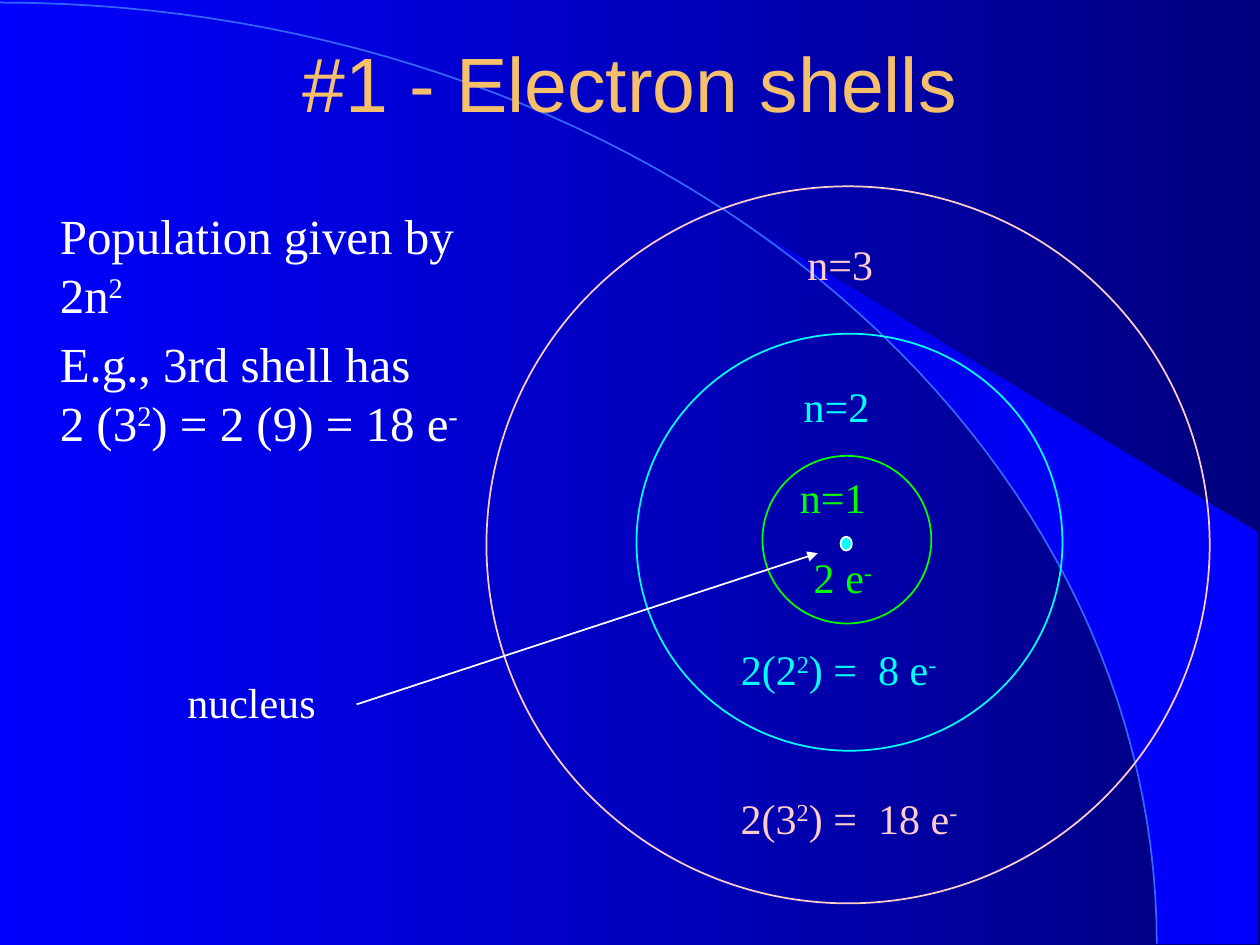
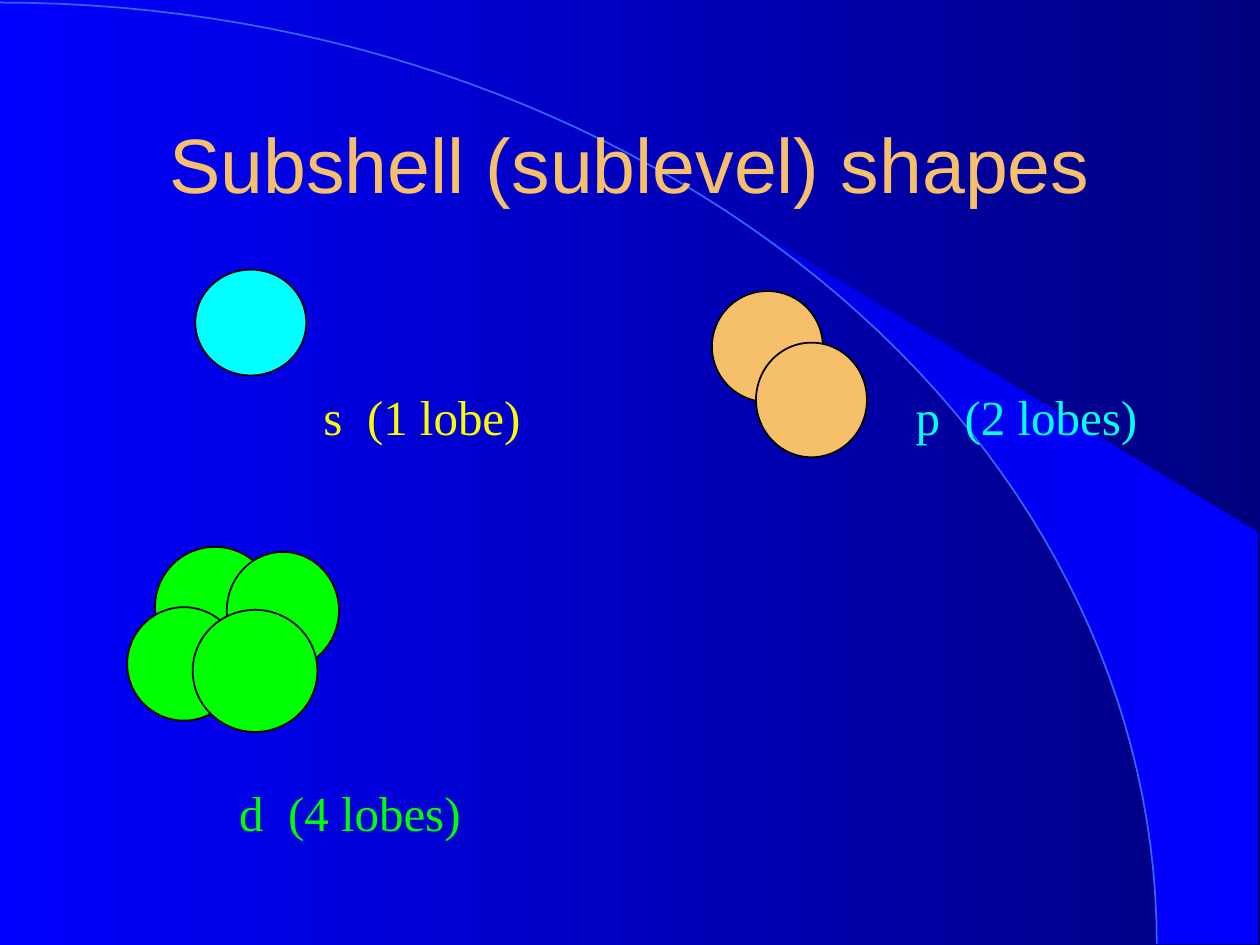
from math import cos, sin, radians
from lxml.etree import SubElement as Sub
from pptx import Presentation
from pptx.dml.color import RGBColor as RGB
from pptx.enum.shapes import MSO_CONNECTOR as LINE, MSO_SHAPE as SHAPE
from pptx.enum.text import MSO_ANCHOR as ANCHOR, PP_ALIGN as ALIGN
from pptx.oxml.ns import qn
from pptx.util import Pt

# Shared look
BLUE = RGB(0x00, 0x00, 0xFF)
NAVY = RGB(0x00, 0x00, 0x7F)
ROYAL = RGB(0x00, 0x00, 0xE5)
SKY = RGB(0x33, 0x65, 0xFB)
GOLD = RGB(0xF6, 0xBF, 0x69)
YELLOW = RGB(0xFA, 0xFD, 0x00)
PINK = RGB(0xFF, 0xCC, 0xCC)
CYAN = RGB(0x00, 0xFF, 0xFF)
GREEN = RGB(0x00, 0xFF, 0x00)
WHITE = RGB(0xFF, 0xFF, 0xFF)
BLACK = RGB(0x00, 0x00, 0x00)
SANS, SERIF = "Arial", "Times New Roman"
WIDE, HIGH = 720, 540


def blend(fill, left, right):
    """Fill from left to right with two colours."""
    fill.gradient()
    fill.gradient_angle = 0
    for stop, color in zip(fill.gradient_stops, (left, right)):
        stop.color.rgb = color


def paint(shape, fill=None, line=None):
    shape.shadow.inherit = False
    if fill is None:
        shape.fill.background()
    else:
        shape.fill.solid()
        shape.fill.fore_color.rgb = fill
    if line is None:
        shape.line.fill.background()
    else:
        shape.line.color.rgb = line
        shape.line.width = Pt(1)


def disc(slide, x, y, w, h, fill, line):
    oval = slide.shapes.add_shape(SHAPE.OVAL, Pt(x), Pt(y), Pt(w), Pt(h))
    paint(oval, fill, line)


def write(slide, box, paras, size, color, font=SERIF, gap=0):
    """Each paragraph is a list of runs; every second run is raised."""
    frame = slide.shapes.add_textbox(*map(Pt, box)).text_frame
    frame.word_wrap = True
    for i, runs in enumerate(paras):
        para = frame.paragraphs[0] if i == 0 else frame.add_paragraph()
        if i:
            para.space_before = Pt(gap)
        for j, words in enumerate(runs):
            for k, part in enumerate(words.split("\n")):
                if k:
                    para.add_line_break()
                run = para.add_run()
                run.text = part
                run.font.size = Pt(size)
                run.font.name = font
                run.font.color.rgb = color
                if j % 2:
                    run._r.get_or_add_rPr().set("baseline", "30000")
    return frame


# Backdrop: gradient, bright wedge and long arc
def arc(start, end, steps=60):
    """Points on the quarter ellipse, by angle in degrees."""
    turns = [radians(start + (end - start) * i / steps) for i in range(steps + 1)]
    return [(661 * cos(t), 539.3 - 537.8 * sin(t)) for t in turns]


def trace(slide, points, close):
    spots = [(Pt(x), Pt(y)) for x, y in points]
    path = slide.shapes.build_freeform(*spots[0])
    path.add_line_segments(spots[1:], close=close)
    shape = path.convert_to_shape()
    paint(shape, line=None if close else SKY)
    return shape


def backdrop(slide):
    blend(slide.background.fill, BLUE, NAVY)
    edge = arc(50, 0)
    wedge = trace(slide, edge + [(719.3, 539.3), (719.3, 304.6)], True)
    blend(wedge.fill, ROYAL, BLUE)
    trace(slide, arc(90, 0), False)


def title(slide, words, y):
    frame = write(slide, (54, y, 612, 90), [[words]], 44, GOLD, SANS)
    frame.vertical_anchor = ANCHOR.MIDDLE
    frame.paragraphs[0].alignment = ALIGN.CENTER


# Electron shells
def rule(slide, x, y):
    paras = [["Population given by 2n", "2"],
             ["E.g., 3rd shell has\n2 (3", "2", ") = 2 (9) = 18 e", "-"]]
    frame = write(slide, (x, y, 307, 98), paras, 28, WHITE, gap=5.6)
    frame.margin_left = Pt(34.2)


def shells(slide, x, y):
    # ring, colour, name, name spot, count, count box
    rings = [
        ((0, 0, 413.3, 409.7), PINK, "n=3", (176.3, 26),
         ["2(3", "2", ") =  18 e", "-"], (138.2, 342.8, 152)),
        ((85.7, 84.2, 243.4, 238.3), CYAN, "n=2", (174.2, 107.4),
         ["2(2", "2", ") =  8 e", "-"], (138.2, 257.8, 142)),
        ((157.7, 154, 96.5, 95.8), GREEN, "n=1", (172, 159.2),
         ["2 e", "-"], (179.9, 205.3, 54)),
    ]
    for (dx, dy, w, h), color, *_ in rings:
        disc(slide, x + dx, y + dy, w, h, None, color)
    disc(slide, x + 202.3, y + 200.2, 6.5, 7.9, CYAN, WHITE)
    for _, color, name, (nx, ny), count, (cx, cy, cw) in rings:
        write(slide, (x + nx, y + ny, 66, 36), [[name]], 24, color)
        write(slide, (x + cx, y + cy, cw, 36), [count], 24, color)


def pointer(slide, x, y):
    write(slide, (x, y, 111, 36), [["nucleus"]], 24, WHITE)
    ends = map(Pt, (x + 103.8, y + 19.5, x + 367.3, y - 66.9))
    arrow = slide.shapes.add_connector(LINE.STRAIGHT, *ends)
    arrow.line.color.rgb = WHITE
    arrow.line.width = Pt(1)
    Sub(arrow.line._get_or_add_ln(), qn("a:tailEnd"), type="triangle")
    Sub(arrow._element.spPr, qn("a:effectLst"))


# Subshell shapes
def lobes(slide, x, y, discs, fill, label, spot, color):
    for dx, dy, w, h in discs:
        disc(slide, x + dx, y + dy, w, h, fill, BLACK)
    dx, dy = spot
    write(slide, (x + dx, y + dy, 152, 41), [[label]], 28, color)


def shell_page(slide):
    backdrop(slide)
    title(slide, "#1 - Electron shells", 1.5)
    rule(slide, 0, 114)
    shells(slide, 278, 106.5)
    pointer(slide, 100, 383)


def lobe_page(slide):
    backdrop(slide)
    title(slide, "Subshell (sublevel) shapes", 48)
    lobes(slide, 111.6, 154.1, [(0, 0, 63.4, 60.5)],
          CYAN, "s  (1 lobe)", (66.2, 63.3), YELLOW)
    lobes(slide, 406.8, 166.3, [(0, 0, 63.4, 63.4), (25.2, 29.5, 63.4, 65.5)],
          GOLD, "p  (2 lobes)", (109.4, 51.1), CYAN)
    lobes(slide, 72.7, 312.5,
          [(15.9, 0, 68.4, 68.4), (56.9, 2.9, 64.1, 67),
           (0, 34.5, 64.8, 64.8), (37.4, 36, 71.3, 69.8)],
          GREEN, "d  (4 lobes)", (56.9, 131), GREEN)


def main():
    deck = Presentation()
    deck.slide_width, deck.slide_height = Pt(WIDE), Pt(HIGH)
    blank = deck.slide_layouts[6]
    for page in (shell_page, lobe_page):
        page(deck.slides.add_slide(blank))
    deck.save("out.pptx")


if __name__ == "__main__":
    main()
